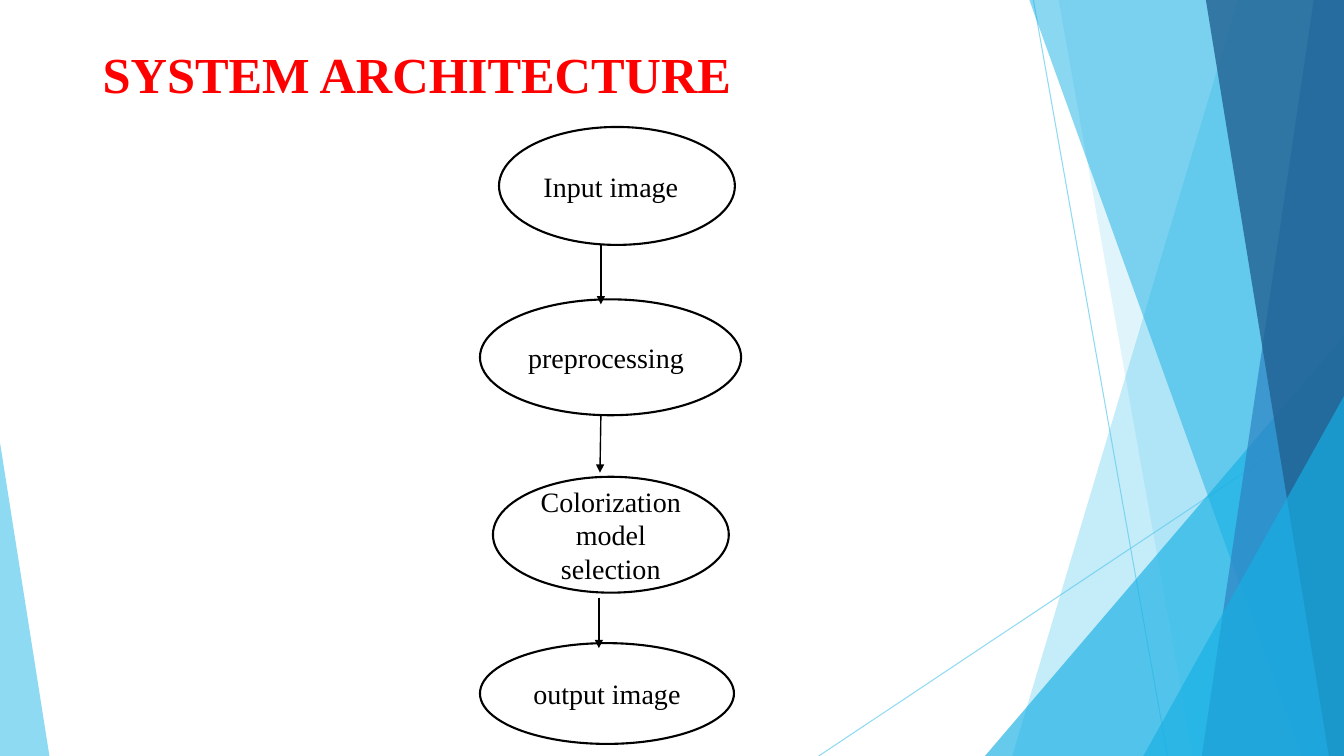
import pptx
import pptx.util
import pptx.dml.color
import pptx.enum.shapes
import pptx.enum.text
import pptx.oxml.ns
from lxml import etree

COLORS = {
    "sky": "5FCBEF", "cyan": "17B0E4", "blue": "2E83C3", "navy": "226292",
    "white": "FFFFFF", "black": "000000", "red": "FF0000",
}
FONT = "Times New Roman"
PRESETS = pptx.enum.shapes.MSO_SHAPE
ALIGN = pptx.enum.text.PP_ALIGN
ANCHOR = pptx.enum.text.MSO_ANCHOR


def color(name):
    return pptx.dml.color.RGBColor.from_string(COLORS[name])


def add_child(parent, tag, **attributes):
    return etree.SubElement(parent, pptx.oxml.ns.qn(tag), **attributes)


def set_opacity(element, percent):
    """Make the first colour of the element partly transparent."""
    solid = next(element.iter(pptx.oxml.ns.qn("a:srgbClr")))
    add_child(solid, "a:alpha", val=str(percent * 1000))


def write(shape, text, size=20, ink="black", bold=False,
          align=ALIGN.LEFT, anchor=ANCHOR.MIDDLE):
    frame = shape.text_frame
    frame.word_wrap = True
    frame.vertical_anchor = anchor
    paragraph = frame.paragraphs[0]
    paragraph.alignment = align
    run = paragraph.add_run()
    run.text = text
    run.font.name, run.font.size, run.font.bold = FONT, pptx.util.Pt(size), bold
    run.font.color.rgb = color(ink)


class Canvas:
    """Places elements on a slide; all lengths are percent of its size."""

    def __init__(self, presentation):
        self.width = presentation.slide_width
        self.height = presentation.slide_height
        self.slide = presentation.slides.add_slide(presentation.slide_layouts[6])
        self.shapes = self.slide.shapes

    def point(self, x, y):
        return round(self.width * x / 100), round(self.height * y / 100)

    def box(self, x, y, width, height):
        return *self.point(x, y), *self.point(width, height)

    def tint(self, shape, fill, opacity):
        shape.shadow.inherit = False
        shape.fill.solid()
        shape.fill.fore_color.rgb = color(fill)
        set_opacity(shape.element.spPr, opacity)
        shape.line.fill.background()

    def band(self, top_x, bottom_x, fill, opacity):
        """Slanted left edge, filled out to the right side of the slide."""
        builder = self.shapes.build_freeform(*self.point(top_x, 0))
        corners = [(100, 0), (100, 100), (bottom_x, 100)]
        builder.add_line_segments([self.point(*corner) for corner in corners])
        self.tint(builder.convert_to_shape(), fill, opacity)

    def corner(self, left, right, top, apex, fill, opacity):
        """Right triangle standing on the bottom edge."""
        shape = self.shapes.add_shape(
            PRESETS.ISOSCELES_TRIANGLE, *self.box(left, top, right - left, 100 - top))
        shape.adjustments[0] = apex
        self.tint(shape, fill, opacity)

    def line(self, start, end, ink, width, opacity=None, arrow=False):
        connector = self.shapes.add_connector(
            pptx.enum.shapes.MSO_CONNECTOR.STRAIGHT,
            *self.point(*start), *self.point(*end))
        connector.line.color.rgb = color(ink)
        connector.line.width = pptx.util.Pt(width)
        properties = connector.element.spPr
        if opacity:
            set_opacity(properties, opacity)
        if arrow:
            add_child(properties.find(pptx.oxml.ns.qn("a:ln")), "a:tailEnd", type="triangle")
        add_child(properties, "a:effectLst")

    def ellipse(self, box, text, align):
        shape = self.shapes.add_shape(PRESETS.OVAL, *self.box(*box))
        shape.shadow.inherit = False
        shape.fill.solid()
        shape.fill.fore_color.rgb = color("white")
        shape.line.color.rgb = color("black")
        shape.line.width = pptx.util.Pt(1.5)
        write(shape, text, align=align)

    def title(self, box, text):
        shape = self.shapes.add_textbox(*self.box(*box))
        write(shape, text, size=36, ink="red", bold=True, anchor=ANCHOR.BOTTOM)


presentation = pptx.Presentation()
presentation.slide_width = pptx.util.Inches(13.33)
presentation.slide_height = pptx.util.Inches(7.5)
canvas = Canvas(presentation)

# Background facets, back to front
canvas.line((76.89, 0), (86.87, 100), "sky", 0.75, opacity=70)
canvas.line((100, 53.73), (60.92, 100), "sky", 0.75, opacity=70)
canvas.band(92.12, 75.32, "sky", 36)
canvas.band(78.77, 88.75, "sky", 20)
canvas.corner(73.29, 100, 44.4, 1, "cyan", 66)
canvas.band(76.59, 96.85, "cyan", 50)
canvas.band(97.75, 89.42, "blue", 70)
canvas.band(89.72, 98.87, "navy", 80)
canvas.corner(85.07, 100, 52.4, 1, "cyan", 66)
canvas.corner(0, 3.68, 58.53, 0, "sky", 70)

canvas.title((6.9, 4.8, 51.09, 9.6), "SYSTEM ARCHITECTURE")

# Processing stages
stages = [
    ((37.13, 16.8, 17.55, 15.6), "Input image", ALIGN.LEFT),
    ((35.71, 39.6, 19.43, 15.33), "preprocessing", ALIGN.LEFT),
    ((36.68, 63.07, 17.55, 15.33), "Colorization model selection", ALIGN.CENTER),
    ((35.71, 85.07, 18.9, 13.33), "output image", ALIGN.CENTER),
]
for stage in stages:
    canvas.ellipse(*stage)

# Flow between the stages
flows = [
    ((44.71, 32.27), (44.71, 40.27)),
    ((44.71, 54.8), (44.64, 62.53)),
    ((44.56, 79.07), (44.56, 85.73)),
]
for start, end in flows:
    canvas.line(start, end, "black", 1, arrow=True)

presentation.save("out.pptx")
